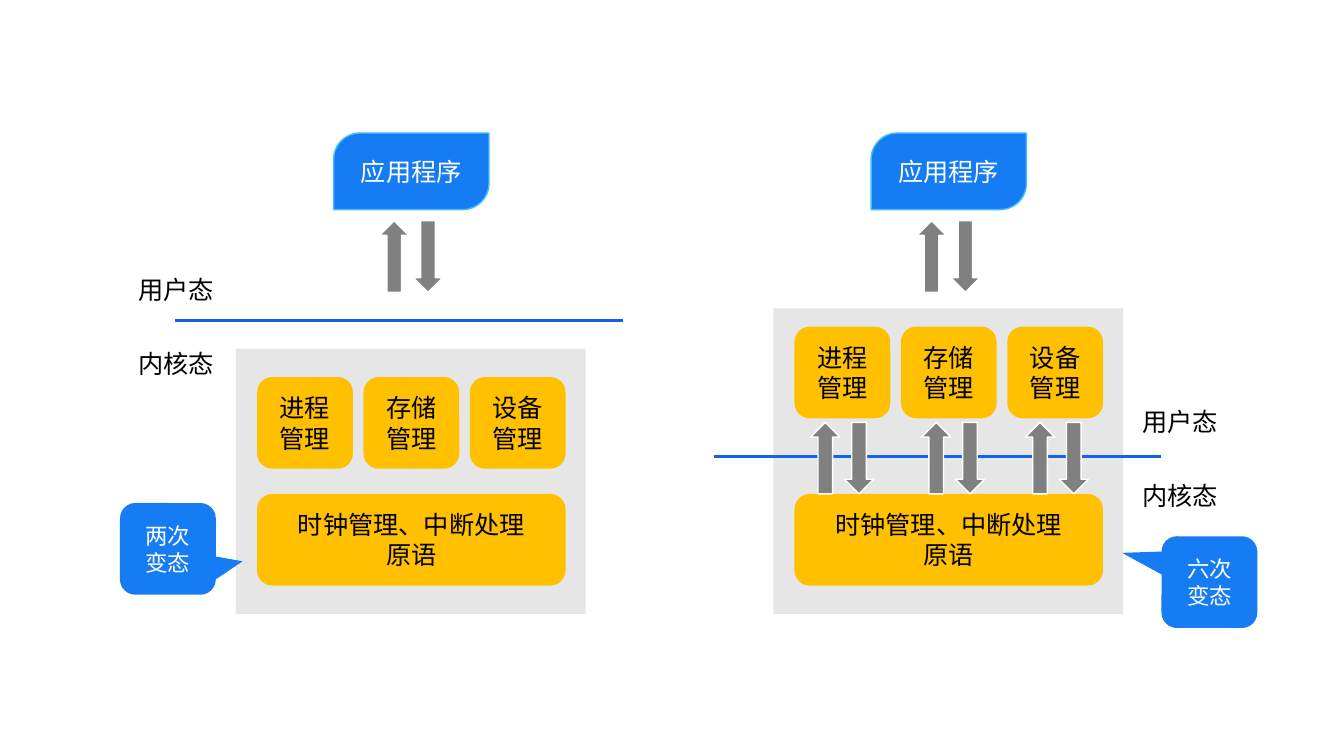
import pptx
import pptx.dml.color
import pptx.enum.shapes
import pptx.enum.text
import pptx.oxml.ns
import pptx.util
from lxml import etree

Inches = pptx.util.Inches
MSO_SHAPE = pptx.enum.shapes.MSO_SHAPE
FONT = "Noto Sans CJK SC"
BLUE, SKY, LINE_BLUE = "157CF3", "45BEF5", "1163EB"
YELLOW, LIGHT_GRAY, GRAY = "FFC000", "E7E6E6", "808080"
BLACK, WHITE = "000000", "FFFFFF"
PANEL_W, PANEL_BOTTOM = 3.47, 6.09
BLOCK_W, BLOCK_H, KERNEL_W, PAD = 0.95, 0.91, 3.06, 0.21
MODULES = ["进程管理", "存储管理", "设备管理"]


def rgb(value):
    """Turn a hex string into a colour."""
    return pptx.dml.color.RGBColor.from_string(value)


def set_text(tf, text, size=18, color=BLACK, wrap=True):
    """Write centred lines of text into a text frame."""
    tf.word_wrap = wrap
    tf.vertical_anchor = pptx.enum.text.MSO_ANCHOR.MIDDLE
    for i, line in enumerate(text.split("\n")):
        p = tf.paragraphs[0] if i == 0 else tf.add_paragraph()
        p.alignment = pptx.enum.text.PP_ALIGN.CENTER
        r = p.add_run()
        r.text = line
        r.font.size = pptx.util.Pt(size)
        r.font.name = FONT
        r.font.color.rgb = rgb(color)
        ea = etree.SubElement(r.font._element, pptx.oxml.ns.qn("a:ea"))
        ea.set("typeface", FONT)


def add_box(shapes, kind, x, y, w, h, fill, line=None, adjust=(), text=None, **fmt):
    """Add a filled preset shape with optional outline and text."""
    sp = shapes.add_shape(kind, Inches(x), Inches(y), Inches(w), Inches(h))
    sp.shadow.inherit = False
    sp.fill.solid()
    sp.fill.fore_color.rgb = rgb(fill)
    if line:
        sp.line.color.rgb = rgb(line)
        sp.line.width = pptx.util.Pt(1)
    else:
        sp.line.fill.background()
    for i, value in enumerate(adjust):
        sp.adjustments[i] = value
    if text:
        set_text(sp.text_frame, text, **fmt)
    return sp


def add_label(s, x, y, text):
    """Add an unwrapped text box naming a processor mode."""
    tb = s.shapes.add_textbox(Inches(x), Inches(y), Inches(0.95), Inches(0.4))
    set_text(tb.text_frame, text, wrap=False)
    tb.text_frame.vertical_anchor = pptx.enum.text.MSO_ANCHOR.TOP
    tb.text_frame.auto_size = pptx.enum.text.MSO_AUTO_SIZE.SHAPE_TO_FIT_TEXT


def add_boundary(s, x, y):
    """Add the line between user mode and kernel mode."""
    line = s.shapes.add_connector(
        pptx.enum.shapes.MSO_CONNECTOR.STRAIGHT,
        Inches(x + 4.44), Inches(y), Inches(x), Inches(y))
    line.line.color.rgb = rgb(LINE_BLUE)
    line.line.width = pptx.util.Pt(2.25)
    etree.SubElement(line._element.spPr, pptx.oxml.ns.qn("a:effectLst"))


def add_arrow_pair(s, x, y):
    """Add a grouped pair of up and down arrows."""
    group = s.shapes.add_group_shape()
    for i, kind in enumerate((MSO_SHAPE.UP_ARROW, MSO_SHAPE.DOWN_ARROW)):
        add_box(group.shapes, kind, x + 0.335 * i, y, 0.29, 0.71, GRAY, WHITE)


def add_system(s, x, panel_top, modules_top):
    """Add the application, its arrows and the operating system panel."""
    add_box(s.shapes, MSO_SHAPE.ROUND_2_DIAG_RECTANGLE, x + 0.97, 1.32, 1.54, 0.76,
            BLUE, SKY, (0.342, 0), "应用程序", color=WHITE)
    add_arrow_pair(s, x + 1.425, 2.19)
    shapes = s.shapes.add_group_shape().shapes
    add_box(shapes, MSO_SHAPE.RECTANGLE, x, panel_top, PANEL_W,
            PANEL_BOTTOM - panel_top, LIGHT_GRAY)
    pitch = (KERNEL_W - BLOCK_W) / (len(MODULES) - 1)
    for i, name in enumerate(MODULES):
        add_box(shapes, MSO_SHAPE.ROUNDED_RECTANGLE, x + PAD + pitch * i,
                modules_top, BLOCK_W, BLOCK_H, YELLOW, text=name)
    add_box(shapes, MSO_SHAPE.ROUNDED_RECTANGLE, x + PAD, 4.9, KERNEL_W, BLOCK_H,
            YELLOW, text="时钟管理、中断处理\n原语")


def add_modes(s, line_x, line_y, label_x, label_y):
    """Add the mode boundary and the labels on both sides of it."""
    add_boundary(s, line_x, line_y)
    for i, name in enumerate(("用户态", "内核态")):
        add_label(s, label_x, label_y + 0.74 * i, name)


def add_callout(s, x, y, tip, text):
    """Add a callout that counts the mode switches."""
    add_box(s.shapes, MSO_SHAPE.ROUNDED_RECTANGULAR_CALLOUT, x, y, BLOCK_W, BLOCK_H,
            BLUE, adjust=(*tip, 0.167), text=text, size=16, color=WHITE)


def main():
    """Build the comparison of the two kernel structures."""
    prs = pptx.Presentation()
    prs.slide_width, prs.slide_height = Inches(13.33), Inches(7.5)
    s = prs.slides.add_slide(prs.slide_layouts[6])

    add_system(s, 2.34, 3.46, 3.74)
    add_modes(s, 1.74, 3.18, 1.27, 2.67)
    add_callout(s, 1.19, 4.99, (0.78, 0.136), "两次变态")

    add_system(s, 7.67, 3.06, 3.24)
    add_modes(s, 7.08, 4.53, 11.23, 3.98)
    add_callout(s, 11.52, 5.32, (-0.912, -0.319), "六次变态")
    for x in (8.04, 9.14, 10.17):
        add_arrow_pair(s, x, 4.19)

    prs.save("out.pptx")


if __name__ == "__main__":
    main()
